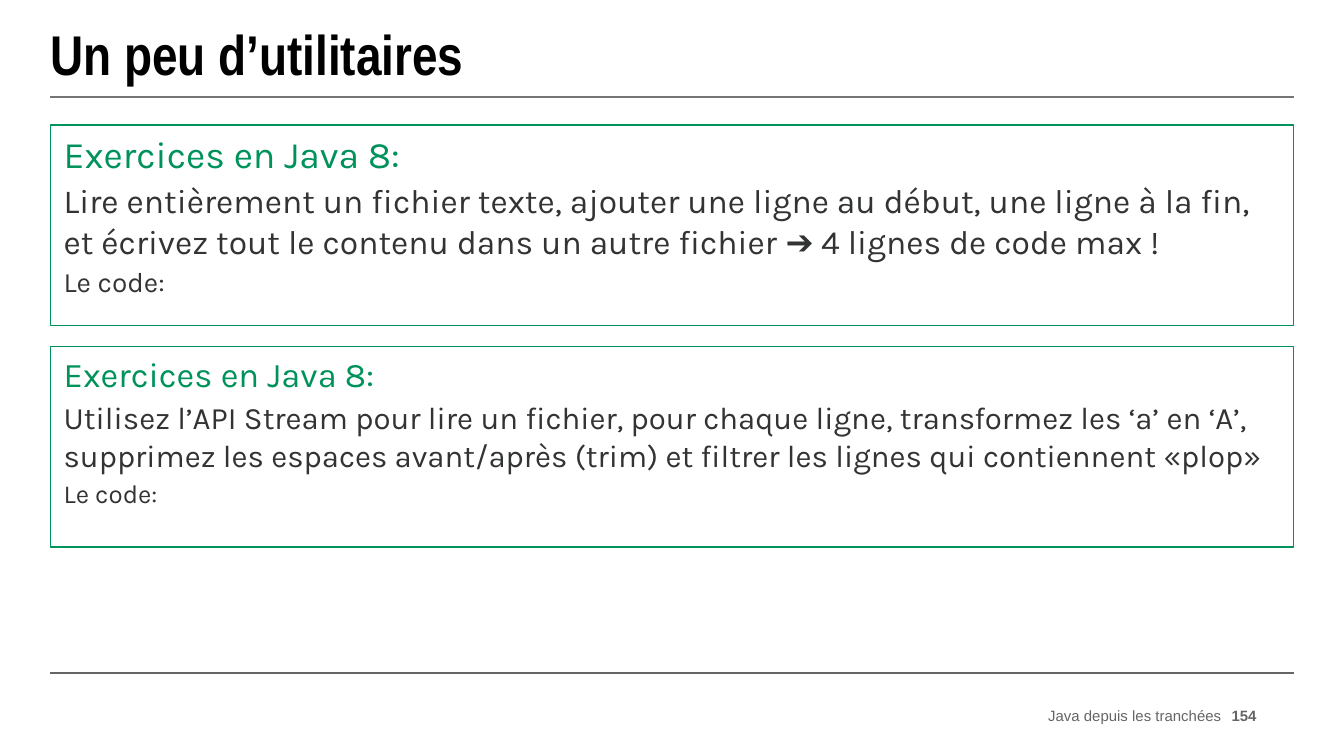
from dataclasses import dataclass

from lxml.etree import SubElement
from pptx import Presentation
from pptx.dml.color import RGBColor
from pptx.enum.shapes import MSO_CONNECTOR, MSO_SHAPE
from pptx.enum.text import MSO_ANCHOR, MSO_AUTO_SIZE, PP_ALIGN
from pptx.oxml.ns import qn
from pptx.util import Inches, Pt


@dataclass(frozen=True)
class Theme:
    title_color: str = "000000"
    accent: str = "00925B"
    body: str = "323334"
    footer: str = "646567"
    title_rule: str = "767676"
    title_font: str = "Arial Narrow"
    body_font: str = "Karla"
    footer_font: str = "Arial"
    title_size: float = 30
    footer_size: float = 8
    first_sizes: tuple = (20, 18, 15)
    second_sizes: tuple = (18.5, 16.7, 13.9)


THEME = Theme()
SLIDE_WIDTH = 10
SLIDE_HEIGHT = SLIDE_WIDTH * 9 / 16
WIDTH = 9.25
LEFT = (SLIDE_WIDTH - WIDTH) / 2
EXERCISE_TOP, EXERCISE_HEIGHT, EXERCISE_STEP = 0.93, 1.49, 1.65

EXERCISES = [
    ("Lire entièrement un fichier texte, ajouter une ligne au début, une ligne à la fin, "
     "et écrivez tout le contenu dans un autre fichier ➔ 4 lignes de code max !",
     THEME.first_sizes),
    ("Utilisez l’API Stream pour lire un fichier, pour chaque ligne, transformez les ‘a’ en ‘A’, "
     "supprimez les espaces avant/après (trim) et filtrer les lignes qui contiennent «plop»",
     THEME.second_sizes),
]


def style_runs(paragraph, font_name, size, color, bold=False):
    for run in paragraph.runs:
        run.font.name = font_name
        run.font.size = Pt(size)
        run.font.bold = bold
        run.font.color.rgb = RGBColor.from_string(color)


def clear_insets(frame):
    frame.margin_left = frame.margin_right = frame.margin_top = frame.margin_bottom = 0


def add_rule(slide, y, color):
    rule = slide.shapes.add_connector(
        MSO_CONNECTOR.STRAIGHT, Inches(LEFT), Inches(y), Inches(LEFT + WIDTH), Inches(y))
    rule.line.color.rgb = RGBColor.from_string(color)
    rule.line.width = Pt(1)
    SubElement(rule._element.spPr, qn("a:effectLst"))


def set_title(slide, text):
    title = slide.shapes.title
    title.left, title.top = Inches(LEFT), Inches(0.09)
    title.width, title.height = Inches(WIDTH), Inches(0.61)
    frame = title.text_frame
    frame.text = text
    frame.auto_size = MSO_AUTO_SIZE.NONE
    frame.vertical_anchor = MSO_ANCHOR.MIDDLE
    clear_insets(frame)
    heading = frame.paragraphs[0]
    heading.alignment = PP_ALIGN.LEFT
    style_runs(heading, THEME.title_font, THEME.title_size, THEME.title_color, bold=True)


def add_footer(slide, text, left, width, bold=False):
    footer = slide.shapes.add_textbox(Inches(left), Inches(5.25), Inches(width), Inches(0.15))
    frame = footer.text_frame
    frame.text = text
    frame.word_wrap = False
    frame.vertical_anchor = MSO_ANCHOR.MIDDLE
    clear_insets(frame)
    frame.paragraphs[0].alignment = PP_ALIGN.RIGHT
    style_runs(frame.paragraphs[0], THEME.footer_font, THEME.footer_size, THEME.footer, bold)


def add_exercise(slide, top, task, sizes):
    """Outlined box holding a heading, the task and the code prompt."""
    box = slide.shapes.add_shape(
        MSO_SHAPE.RECTANGLE, Inches(LEFT), Inches(top), Inches(WIDTH), Inches(EXERCISE_HEIGHT))
    box.shadow.inherit = False
    box.fill.background()
    box.line.color.rgb = RGBColor.from_string(THEME.accent)
    box.line.width = Pt(0.75)
    frame = box.text_frame
    frame.word_wrap = True
    frame.vertical_anchor = MSO_ANCHOR.TOP
    frame.text = "\n".join(("Exercices en Java 8:", task, "Le code:"))
    colors = (THEME.accent, THEME.body, THEME.body)
    for index, (paragraph, size, color) in enumerate(zip(frame.paragraphs, sizes, colors)):
        paragraph.alignment = PP_ALIGN.LEFT
        paragraph.space_before = Pt(2 if index else 0)
        style_runs(paragraph, THEME.body_font, size, color)


def main():
    deck = Presentation()
    deck.slide_width, deck.slide_height = Inches(SLIDE_WIDTH), Inches(SLIDE_HEIGHT)
    slide = deck.slides.add_slide(deck.slide_layouts.get_by_name("Title Only"))

    add_rule(slide, 5.01, THEME.footer)
    add_rule(slide, 0.72, THEME.title_rule)
    set_title(slide, "Un peu d’utilitaires")
    add_footer(slide, "Java depuis les tranchées", 6.89, 2.2)
    add_footer(slide, "154", 9.15, 0.2, bold=True)
    for index, (task, sizes) in enumerate(EXERCISES):
        add_exercise(slide, EXERCISE_TOP + index * EXERCISE_STEP, task, sizes)

    deck.save("out.pptx")


if __name__ == "__main__":
    main()
